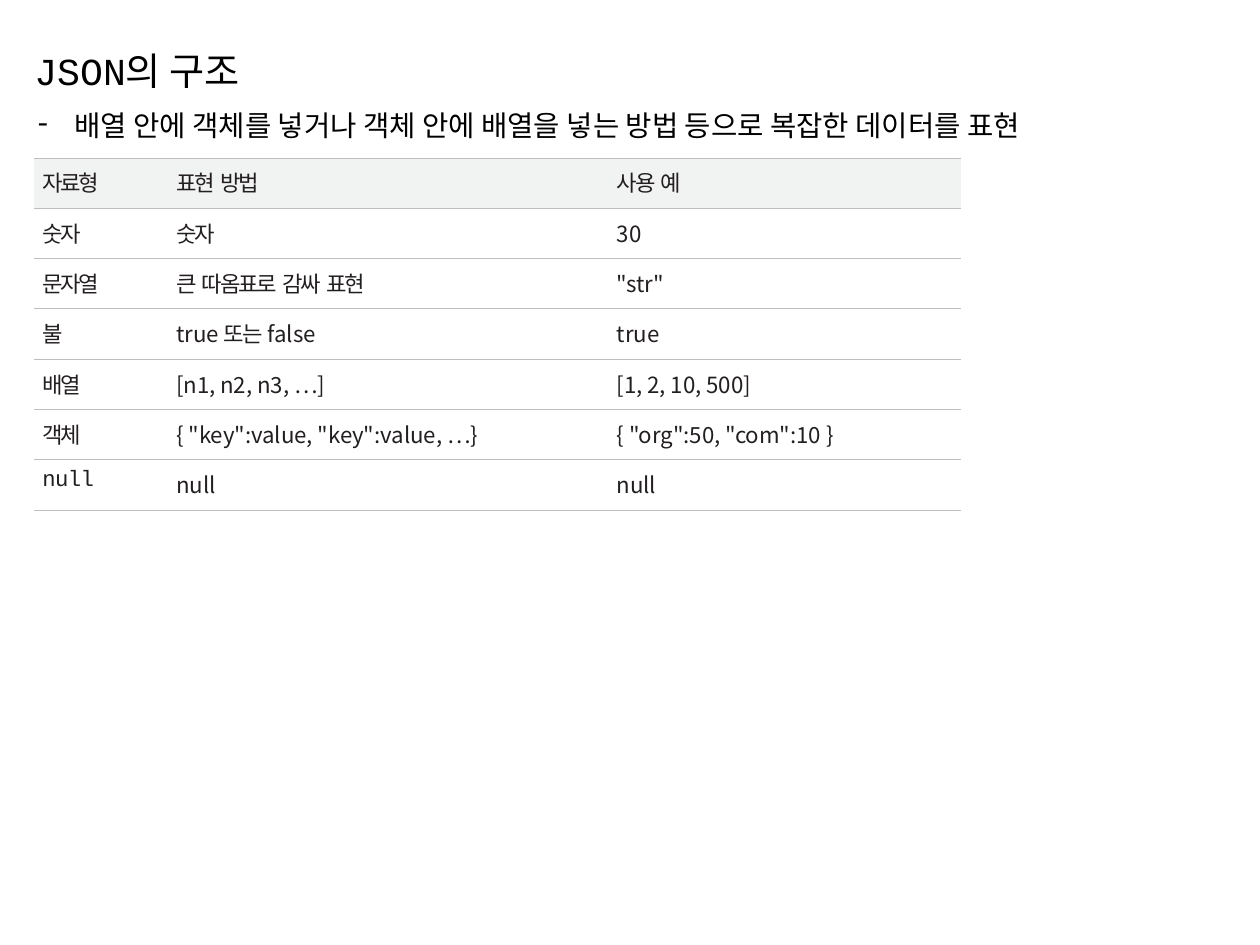
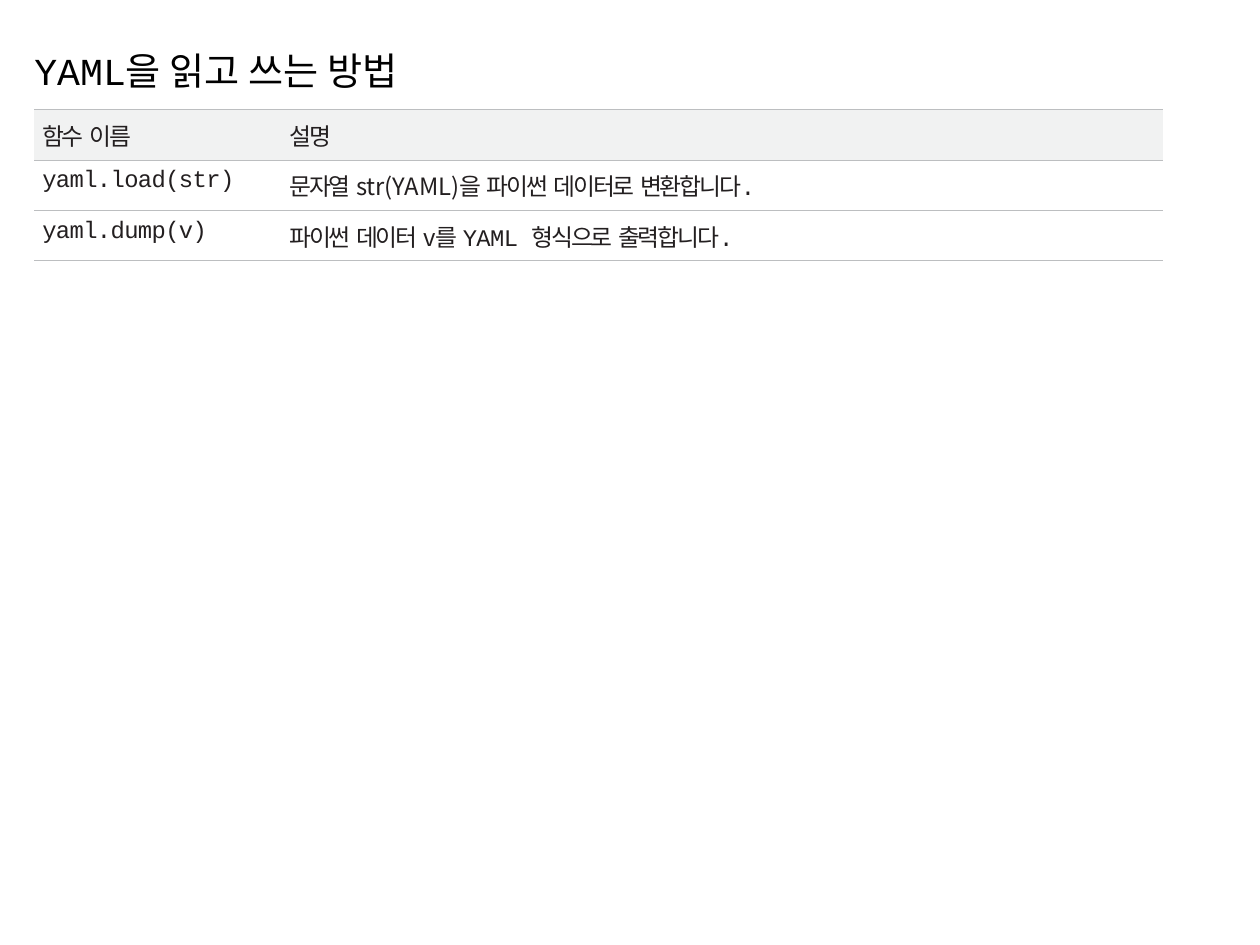
from lxml import etree
from pptx import Presentation
from pptx.dml.color import RGBColor
from pptx.enum import text
from pptx.oxml import ns
from pptx.util import Inches, Pt

MONO, SANS = "Courier New", "Noto Sans CJK KR"
BLACK = RGBColor(0x00, 0x00, 0x00)
INK = RGBColor(0x23, 0x1F, 0x20)
HEADER_FILL = RGBColor(0xF1, 0xF2, 0xF2)
RULE = RGBColor(0xBC, 0xBE, 0xC0)

LEFT, TEXT_WIDTH = 0.3, 10.42
ROW_HEIGHT = 0.44
TITLE_ONLY, TITLE_AND_BODY = 5, 1

# Run styles: font and letter spacing in points
HANGUL = (MONO, -1.4)
CODE = (MONO, -0.4)
PLAIN = (SANS, -0.05)

JSON_TYPES = [
    ["자료형", "표현 방법", "사용 예"],
    ["숫자", "숫자", ("30", PLAIN)],
    ["문자열", "큰 따옴표로 감싸 표현", ('"str"', PLAIN)],
    ["불", [("true ", PLAIN), ("또는 ", HANGUL), ("false", PLAIN)], ("true", PLAIN)],
    ["배열", ("[n1, n2, n3, …]", PLAIN), ("[1, 2, 10, 500]", PLAIN)],
    ["객체", ('{ "key":value, "key":value, …}', PLAIN), ('{ "org":50, "com":10 }', PLAIN)],
    [("null", CODE), ("null", PLAIN), ("null", PLAIN)],
]
YAML_FUNCTIONS = [
    ["함수 이름", "설명"],
    [("yaml.load(str)", CODE),
     [("문자열 ", HANGUL), ("str(YAML)", PLAIN), ("을 파이썬 데이터로 변환합니다.", HANGUL)]],
    [("yaml.dump(v)", CODE),
     [("파이썬 데이터 ", HANGUL), ("v", PLAIN), ("를 ", HANGUL), ("YAML ", CODE),
      ("형식으로 출력합니다.", HANGUL)]],
]


def format_span(span, size, color, font, spacing=0):
    span.font.size = Pt(size)
    span.font.name = font
    span.font.color.rgb = color
    props = span.font._element
    props.set("spc", str(round(spacing * 100)))
    east_asian = etree.Element(ns.qn("a:ea"), typeface=SANS)
    props.find(ns.qn("a:latin")).addnext(east_asian)


def fill_placeholder(box, top, height, words, size):
    """Move a placeholder and set its single line of text."""
    box.left, box.top = Inches(LEFT), Inches(top)
    box.width, box.height = Inches(TEXT_WIDTH), Inches(height)
    frame = box.text_frame
    frame.text = words
    frame.word_wrap = True
    frame.auto_size = text.MSO_AUTO_SIZE.NONE
    frame.vertical_anchor = text.MSO_ANCHOR.TOP
    frame.margin_left = frame.margin_right = frame.margin_top = frame.margin_bottom = 0
    para = frame.paragraphs[0]
    para.alignment = text.PP_ALIGN.JUSTIFY
    para.line_spacing = 1.5
    para.space_before = Pt(0)
    format_span(para.runs[0], size, BLACK, MONO)
    return para


def add_dash(para, indent):
    props = para._p.get_or_add_pPr()
    props.set("marL", str(Inches(indent)))
    props.set("indent", str(-Inches(indent)))
    etree.SubElement(props, ns.qn("a:buFont"), typeface=MONO)
    etree.SubElement(props, ns.qn("a:buChar"), char="-")


def set_borders(cell):
    """Rule above and below, nothing at the sides."""
    props = cell._tc.get_or_add_tcPr()
    for side in "LRTB":
        line = etree.SubElement(props, ns.qn(f"a:ln{side}"), w=str(Pt(0.5)))
        if side in "LR":
            etree.SubElement(line, ns.qn("a:noFill"))
        else:
            fill = etree.SubElement(line, ns.qn("a:solidFill"))
            etree.SubElement(fill, ns.qn("a:srgbClr"), val=str(RULE))


def write_cell(cell, content, size):
    """Content is a Hangul string, one (text, style) pair or a list of pairs."""
    if isinstance(content, str):
        content = (content, HANGUL)
    pairs = content if isinstance(content, list) else [content]
    para = cell.text_frame.paragraphs[0]
    para.space_before = Pt(3)
    for words, (font, spacing) in pairs:
        # Tight Hangul keeps its word spaces at full width
        pieces = words.replace(" ", "| |").split("|") if (font, spacing) == HANGUL else [words]
        for piece in filter(None, pieces):
            span = para.add_run()
            span.text = piece
            format_span(span, size, INK, font, 0 if piece == " " else spacing)


def add_rule_table(page, top, rows, widths, indents, size):
    frame = page.shapes.add_table(len(rows), len(widths), Inches(LEFT), Inches(top),
                                  Inches(sum(widths)), Inches(ROW_HEIGHT * len(rows)))
    table = frame.table
    table.first_row = table.horz_banding = False
    for column, width in zip(table.columns, widths):
        column.width = Inches(width)
    for r, row in enumerate(rows):
        for c, content in enumerate(row):
            cell = table.cell(r, c)
            cell.margin_left, cell.margin_top = Inches(indents[c]), Inches(0.07)
            cell.margin_right = cell.margin_bottom = 0
            set_borders(cell)
            if r == 0:
                cell.fill.solid()
                cell.fill.fore_color.rgb = HEADER_FILL
            else:
                cell.fill.background()
            write_cell(cell, content, size)


def add_page(deck, layout, title):
    page = deck.slides.add_slide(deck.slide_layouts[layout])
    fill_placeholder(page.shapes.title, 0.21, 0.58, title, 24)
    return page


def add_json_page(deck):
    page = add_page(deck, TITLE_AND_BODY, "JSON의 구조")
    point = fill_placeholder(
        page.placeholders[1], 0.79, 0.5,
        "배열 안에 객체를 넣거나 객체 안에 배열을 넣는 방법 등으로 복잡한 데이터를 표현", 18)
    add_dash(point, 0.35)
    add_rule_table(page, 1.38, JSON_TYPES, [1.02, 3.82, 3.26], [0.07, 0.22, 0.25], 14)


def add_yaml_page(deck):
    page = add_page(deck, TITLE_ONLY, "YAML을 읽고 쓰는 방법")
    add_rule_table(page, 0.96, YAML_FUNCTIONS, [1.87, 7.99], [0.07, 0.36], 15)


def main():
    deck = Presentation()
    deck.slide_width, deck.slide_height = Inches(11.01), Inches(8.26)
    add_json_page(deck)
    add_yaml_page(deck)
    deck.save("out.pptx")


if __name__ == "__main__":
    main()
